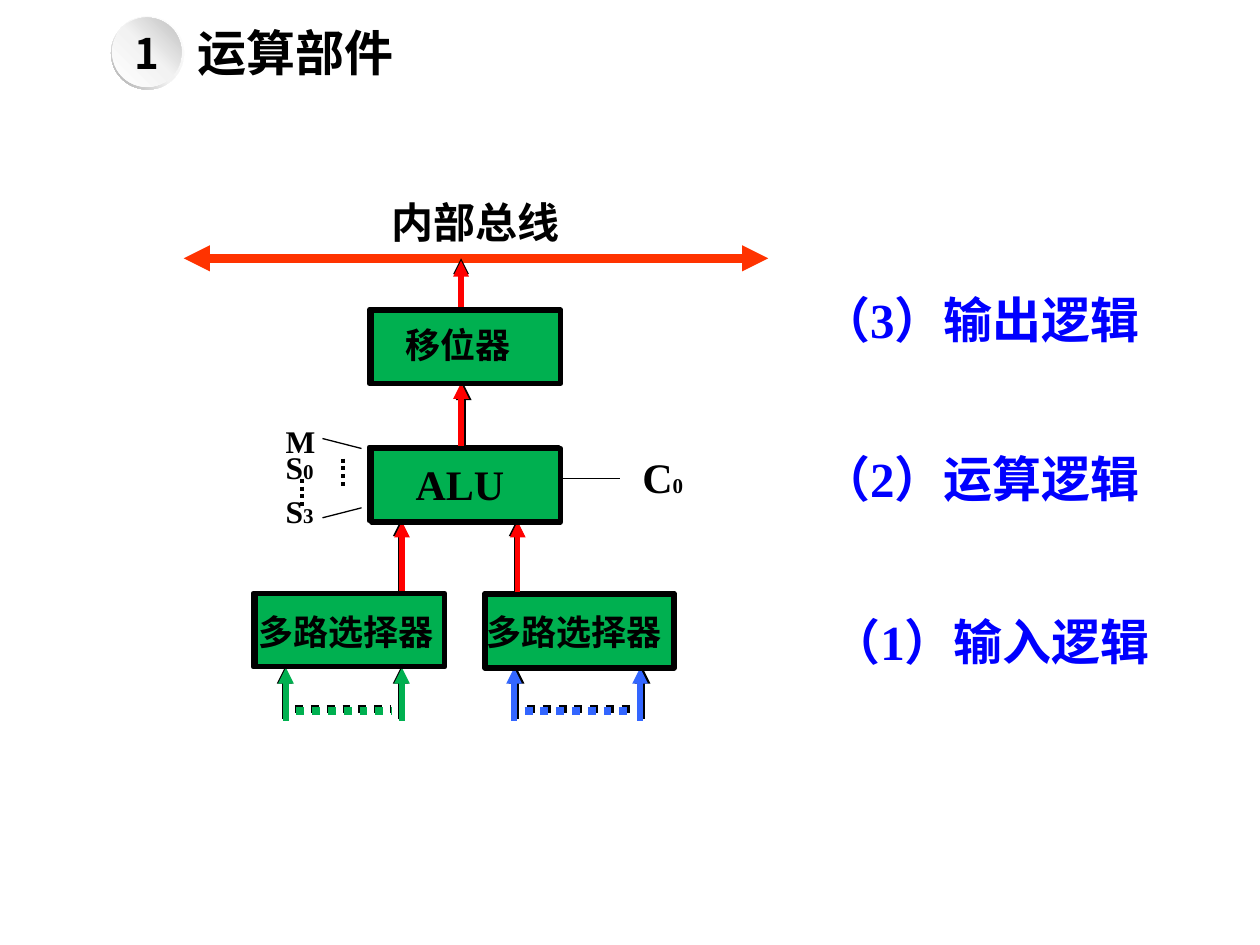
from dataclasses import dataclass

from lxml import etree
from pptx import Presentation
from pptx import util as u
from pptx.dml.color import RGBColor
from pptx.enum import dml, shapes, text
from pptx.oxml.ns import qn


@dataclass(frozen=True)
class Theme:
    black: str = "000000"
    red: str = "FF0000"
    bus: str = "FF3300"
    green: str = "00B050"
    blue: str = "3366FF"
    label: str = "0000FF"
    under: str = "00FFFF"
    latin: str = "Times New Roman"
    asian: str = "Noto Sans CJK SC"
    title: int = 28
    large: int = 24
    medium: int = 20
    signal: int = 18
    index: int = 12


class Board:
    """Holds the theme and the current slide."""

    def __init__(self, page, theme):
        self.page = page
        self.theme = theme

    def shape(self, kind, left, top, width, height):
        shape = self.page.shapes.add_shape(
            kind, u.Pt(left), u.Pt(top), u.Pt(width), u.Pt(height))
        shape.shadow.inherit = False
        return shape

    def block(self, left, top, fill):
        box = self.shape(shapes.MSO_SHAPE.RECTANGLE, left, top, 108, 42)
        box.fill.solid()
        box.fill.fore_color.rgb = RGBColor.from_string(fill)
        box.line.color.rgb = RGBColor.from_string(self.theme.black)
        box.line.width = u.Pt(3)

    def disc(self, kind, left, top, size, stops, angle):
        disc = self.shape(kind, left, top, size, size)
        disc.line.fill.background()
        disc.fill.gradient()
        gradient = disc.fill._xPr.find(qn("a:gradFill"))
        for child in list(gradient):
            gradient.remove(child)
        stop_list = etree.SubElement(gradient, qn("a:gsLst"))
        for position, color in stops:
            stop = etree.SubElement(stop_list, qn("a:gs"), pos=str(position * 1000))
            etree.SubElement(stop, qn("a:srgbClr"), val=color)
        etree.SubElement(gradient, qn("a:lin"), ang=str(angle * 60000), scaled="0")
        return disc

    def line(self, x1, y1, x2, y2, color, width=3.0, ends=(), dotted=False):
        line = self.page.shapes.add_connector(
            shapes.MSO_CONNECTOR.STRAIGHT, u.Pt(x1), u.Pt(y1), u.Pt(x2), u.Pt(y2))
        line.line.color.rgb = RGBColor.from_string(color)
        line.line.width = u.Pt(width)
        if dotted:
            line.line.dash_style = dml.MSO_LINE.ROUND_DOT
        for end in ends:
            etree.SubElement(line.line._get_or_add_ln(), qn(f"a:{end}"), type="triangle")
        etree.SubElement(line._element.spPr, qn("a:effectLst"))

    def arrow(self, x, bottom, top, color):
        self.line(x, bottom, x, top, color, ends=("tailEnd",))

    def inputs(self, left, right, bottom, color):
        """Two input arrows with a dotted run between them."""
        for x in (left, right):
            self.arrow(x, bottom, 381.6, color)
        self.line(left + 6, bottom - 5.7, right - 6, bottom - 5.7, color, 4.5, dotted=True)

    def run(self, para, words, size, color, font):
        span = para.add_run()
        span.text = words
        span.font.size = u.Pt(size)
        span.font.bold = True
        span.font.name = font
        span.font.color.rgb = RGBColor.from_string(color)
        etree.SubElement(span.font._element, qn("a:ea"), typeface=self.theme.asian)

    def text(self, left, top, width, height, lines, color=None, middle=False, spacing=None):
        """Each line is a list of (words, size) runs."""
        box = self.page.shapes.add_textbox(
            u.Pt(left), u.Pt(top), u.Pt(width), u.Pt(height))
        frame = box.text_frame
        frame.word_wrap = True
        frame.auto_size = text.MSO_AUTO_SIZE.SHAPE_TO_FIT_TEXT
        if middle:
            frame.vertical_anchor = text.MSO_ANCHOR.MIDDLE
        for number, runs in enumerate(lines):
            para = frame.add_paragraph() if number else frame.paragraphs[0]
            if number:
                para.space_before = u.Pt(10)
            if spacing:
                para.line_spacing = spacing
            for words, size in runs:
                self.run(para, words, size, color or self.theme.black, self.theme.latin)


theme = Theme()
deck = Presentation()
deck.slide_width, deck.slide_height = u.Pt(720), u.Pt(540)
page = deck.slides.add_slide(deck.slide_layouts[6])
board = Board(page, theme)

# Internal bus
board.line(105, 147.6, 439, 147.6, theme.bus, 5, ends=("headEnd", "tailEnd"))
board.text(216.7, 108.7, 216, 36, [[("内部总线", theme.large)]])

# Dark under-layer that edges the arrows and blocks
for x, bottom, top in ((265, 255.6, 219.6), (263.5, 177.1, 147.6),
                       (229, 339.1, 297.4), (295.2, 339.1, 297.4)):
    board.arrow(x, bottom, top, theme.black)
board.inputs(162.7, 229, 411.1, theme.black)
board.inputs(295.2, 367.2, 411.1, theme.black)
for left, top in ((211, 177.1), (211, 255.6), (277.2, 339.1), (144.7, 339.1)):
    board.block(left, top, theme.under)

# Control signals and carry
board.text(156.2, 243.4, 45.4, 63.4,
           [[("M S", theme.signal), ("0", theme.index)],
            [("S", theme.signal), ("3", theme.index)]], spacing=0.7)
for x, top in ((195.8, 262.1), (172.8, 273.6)):
    board.line(x, top, x, top + 17, theme.black, 2.25, dotted=True)
for x1, y1, x2, y2 in ((184.3, 250.6, 206.6, 256.3), (184.3, 295.9, 206.6, 290.2),
                       (320.4, 273.6, 354.2, 273.6)):
    board.line(x1, y1, x2, y2, theme.black, 0.75)
board.text(360, 262.1, 45.4, 28.1,
           [[("C", theme.large), ("0", theme.index)]], spacing=0.7)

# Coloured data paths
board.inputs(163.4, 229.7, 411.8, theme.green)
board.inputs(293.8, 365.8, 411.8, theme.blue)
for x, bottom, top in ((229.7, 340.6, 298.1), (295.9, 340.6, 298.1),
                       (263.5, 254.9, 218.9), (263.5, 179.3, 149)):
    board.arrow(x, bottom, top, theme.red)

# Blocks: position, label offset, label and size
for left, top, dx, dy, label, size in (
        (146.2, 339.1, -5.8, 6.5, "多路选择器", theme.medium),
        (277.2, 339.8, -6.5, 5.8, "多路选择器", theme.medium),
        (212.4, 256.3, 18, 2.2, "ALU", theme.large),
        (212.4, 177.1, 12.2, 4.3, "移位器", theme.medium)):
    board.block(left, top, theme.green)
    board.text(left + dx, top + dy, 126, 31, [[(label, size)]])

# Stage labels
for left, top, label in ((468, 345.6, "（1）输入逻辑"), (462.2, 252.7, "（2）运算逻辑"),
                         (462.2, 162, "（3）输出逻辑")):
    board.text(left, top, 225.4, 41, [[(label, theme.title)]], theme.label, middle=True)

# Heading with numbered badge
board.text(105.8, 9.4, 195.1, 41, [[("运算部件", theme.title)]], middle=True)
ring = board.disc(shapes.MSO_SHAPE.DONUT, 63.4, 9.4, 41.8,
                  ((0, "FFFFFF"), (55, "F2F2F2"), (100, "A6A6A6")), 135)
ring.adjustments[0] = 0.05
badge = board.disc(shapes.MSO_SHAPE.OVAL, 64.1, 10.1, 39.6,
                   ((0, "FFFFFF"), (51, "F2F2F2"), (100, "BFBFBF")), 315)
frame = badge.text_frame
frame.word_wrap = False
frame.vertical_anchor = text.MSO_ANCHOR.MIDDLE
para = frame.paragraphs[0]
para.alignment = text.PP_ALIGN.CENTER
board.run(para, "1", theme.large, theme.black, theme.asian)

deck.save("out.pptx")
